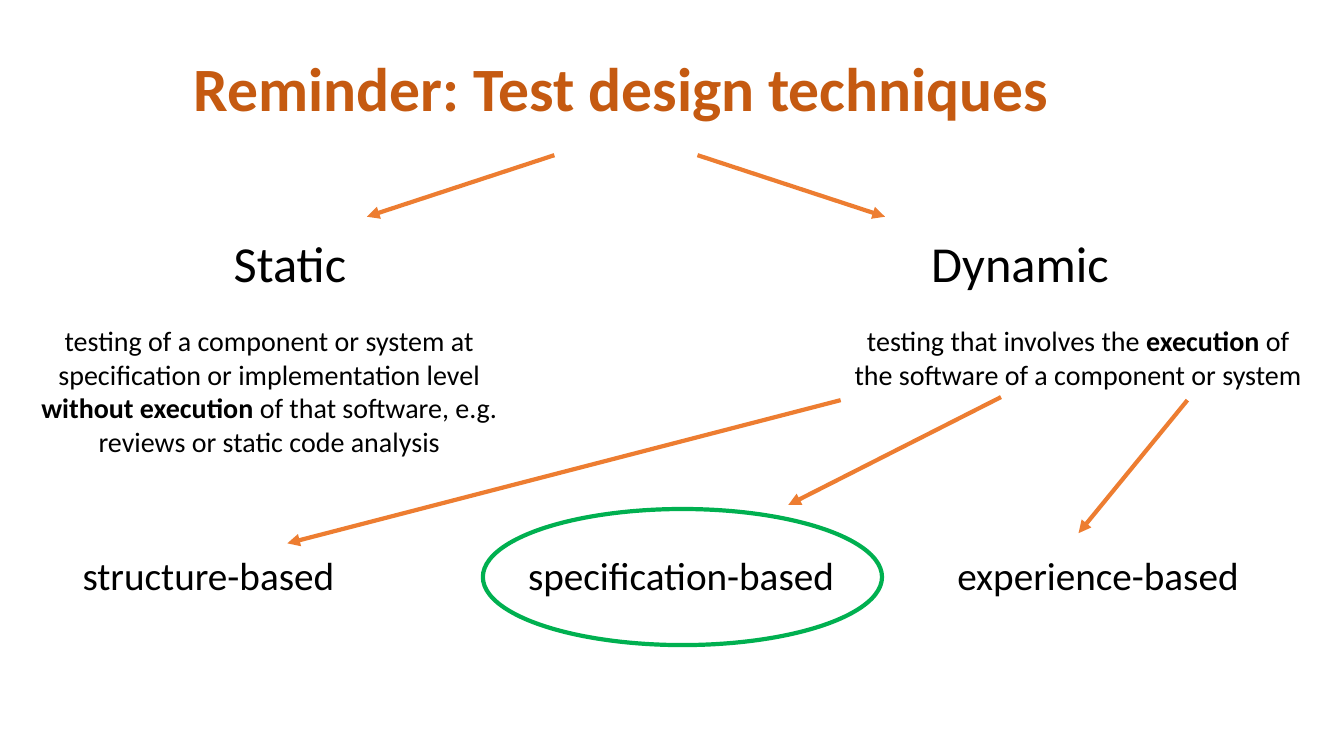
"""Build a slide with a tree of test design techniques; lengths are percent of the slide."""
from lxml import etree
from pptx import Presentation
from pptx import util as u
from pptx.dml.color import RGBColor
from pptx.enum import shapes, text
from pptx.oxml.ns import qn

WIDTH, HEIGHT = u.Inches(13.333), u.Inches(7.5)
FONT = "Calibri"
COLORS = {"title": "C55A11", "text": "000000", "arrow": "ED7D31", "highlight": "00B050"}
HEADING_TOP, DETAIL_TOP, LEAF_TOP = 30, 42.13, 72.27
HEADING_HEIGHT, LEAF_HEIGHT = 9.47, 7.6

BRANCHES = [
    ("Static", (16.65, 12.75), (0.98, 38.1, 19.33), [
        ("testing of a component or system at specification or implementation level ", False),
        ("without execution ", True),
        ("of that software, e.g. reviews or static code analysis", False)]),
    ("Dynamic", (68.55, 15.53), (62.55, 35.33, 10.27), [
        ("testing that involves the ", False),
        ("execution", True),
        (" of the software of a component or system", False)]),
]
LEAVES = [("structure-based", 5.4, 21.9),
          ("specification-based", 38.55, 24.53),
          ("experience-based", 70.5, 24.23)]
ARROWS = [((41.25, 20.53), (27.3, 28.67)),
          ((51.9, 20.53), (65.85, 28.67)),
          ((62.55, 52.93), (21.38, 71.87)),
          ((74.48, 52.53), (58.65, 66.8)),
          ((88.35, 52.93), (80.25, 70.53))]


def scale(*shares):
    """Turn alternating horizontal and vertical percentages into lengths."""
    return [u.Emu(round(s * (HEIGHT if i % 2 else WIDTH) / 100))
            for i, s in enumerate(shares)]


def add_runs(p, runs, size, color="text"):
    """Add (wording, bold) runs to a paragraph."""
    for wording, bold in runs:
        r = p.add_run()
        r.text = wording
        r.font.name, r.font.size, r.font.bold = FONT, u.Pt(size), bold
        r.font.color.rgb = RGBColor.from_string(COLORS[color])


def add_title(s, wording):
    """Place and format the title placeholder."""
    sp = s.shapes.title
    sp.left, sp.top, sp.width, sp.height = scale(3.15, 5.33, 86.25, 13.47)
    tf = sp.text_frame
    tf.auto_size = text.MSO_AUTO_SIZE.NONE
    tf.vertical_anchor = text.MSO_ANCHOR.MIDDLE
    p = tf.paragraphs[0]
    p.alignment, p.line_spacing = text.PP_ALIGN.CENTER, 0.9
    add_runs(p, [(wording, True)], 44, "title")


def add_label(parent, box, runs, size, align=text.PP_ALIGN.LEFT):
    """Add a wrapped text box to a slide or group."""
    tf = parent.shapes.add_textbox(*scale(*box)).text_frame
    tf.word_wrap = True
    tf.auto_size = text.MSO_AUTO_SIZE.SHAPE_TO_FIT_TEXT
    p = tf.paragraphs[0]
    p.alignment = align
    add_runs(p, runs, size)


def add_branch(s, name, heading, detail, runs):
    """Add a group of a heading and its definition."""
    group = s.shapes.add_group_shape()
    left, width = heading
    add_label(group, (left, HEADING_TOP, width, HEADING_HEIGHT), [(name, False)], 36)
    left, width, height = detail
    add_label(group, (left, DETAIL_TOP, width, height), runs, 20, text.PP_ALIGN.CENTER)


def set_line(sp, color):
    """Give a shape or connector its outline."""
    sp.line.color.rgb = RGBColor.from_string(COLORS[color])
    sp.line.width = u.Pt(3)


def add_arrow(s, start, end):
    """Add a straight arrow between two points."""
    sp = s.shapes.add_connector(shapes.MSO_CONNECTOR.STRAIGHT, *scale(*start, *end))
    set_line(sp, "arrow")
    etree.SubElement(sp.line._get_or_add_ln(), qn("a:tailEnd"), type="triangle")
    etree.SubElement(sp._element.spPr, qn("a:effectLst"))


def add_highlight(s, box):
    """Add an unfilled ellipse around a technique."""
    sp = s.shapes.add_shape(shapes.MSO_SHAPE.OVAL, *scale(*box))
    sp.shadow.inherit = False
    sp.fill.background()
    set_line(sp, "highlight")


def main():
    """Build and save the slide."""
    prs = Presentation()
    prs.slide_width, prs.slide_height = WIDTH, HEIGHT
    s = prs.slides.add_slide(prs.slide_layouts.get_by_name("Title Only"))
    add_title(s, "Reminder: Test design techniques")
    for branch in BRANCHES:
        add_branch(s, *branch)
    for start, end in ARROWS:
        add_arrow(s, start, end)
    for name, left, width in LEAVES:
        add_label(s, (left, LEAF_TOP, width, LEAF_HEIGHT), [(name, False)], 28)
    add_highlight(s, (35.93, 67.33, 29.7, 18))
    prs.save("out.pptx")


main()
